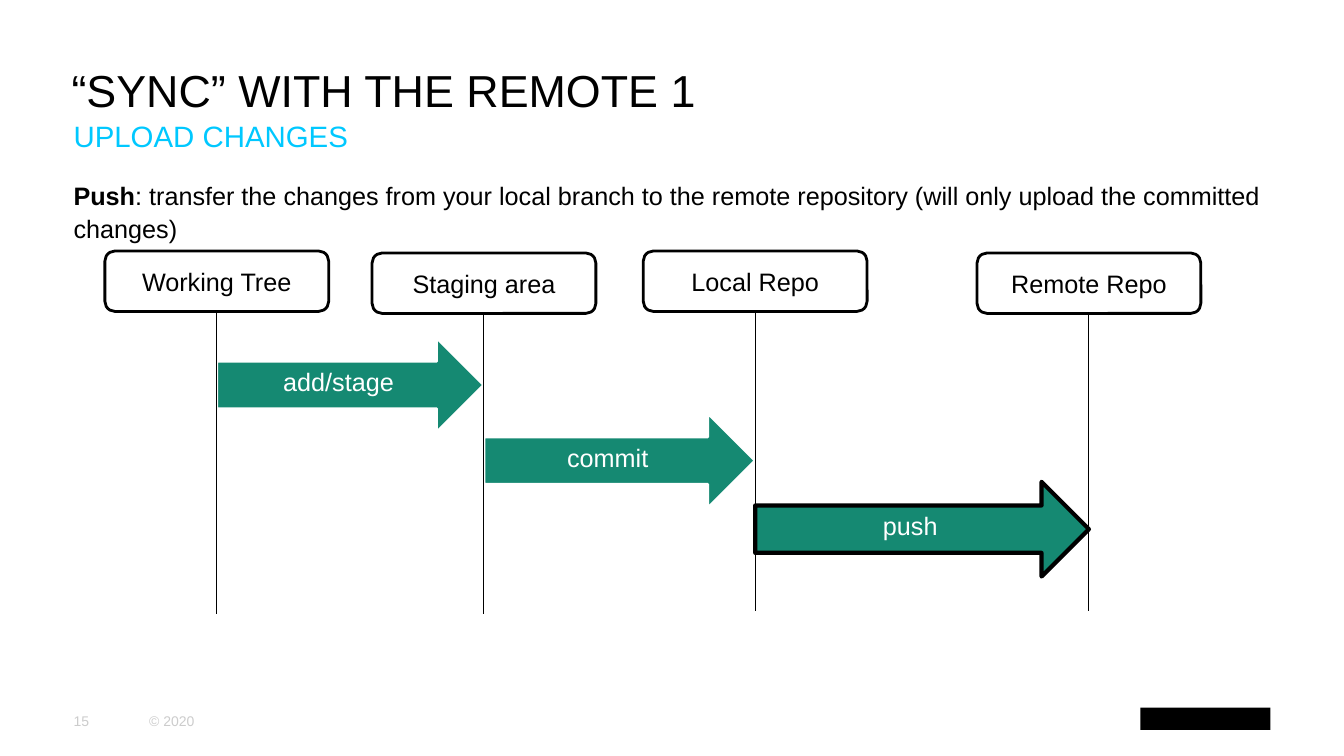
from lxml import etree
from pptx import Presentation, util as u
from pptx.dml.color import RGBColor
from pptx.enum import shapes, text
from pptx.oxml.ns import qn

PX = u.Inches(1) // 100  # 100 px to the inch
COLORS = {"ink": "000000", "paper": "FFFFFF", "sky": "00C8FF",
          "green": "158972", "grey": "CCCCCC"}

BOX_W, BOX_H, ARROW_H = 222, 60, 94
# name, lane centre x, box top, lane bottom
LANES = [
    ("Working Tree", 215, 249, 609),
    ("Staging area", 480, 251, 609),
    ("Local Repo", 749, 249, 606),
    ("Remote Repo", 1080, 251, 606),
]
# name, top, outline colour, outline points; each spans one gap between lanes
STEPS = [
    ("add/stage", 335, "paper", 2),
    ("commit", 410, "paper", 2),
    ("push", 478, "ink", 3),
]


def px(*lengths):
    return [u.Emu(length * PX) for length in lengths]


def rgb(name):
    return RGBColor.from_string(COLORS[name])


def set_all(target, values):
    for key, value in values.items():
        setattr(target, key, value)


def write(paragraph, words, size, color, bold=False):
    run = paragraph.add_run()
    run.text = words
    set_all(run.font, {"name": "Arial", "size": u.Pt(size), "bold": bold})
    run.font.color.rgb = rgb(color)


def add_text(slide, place, runs, size, color, anchor="TOP", spacing=1.0):
    """Add a text box without margins; runs are (words, bold) pairs."""
    frame = slide.shapes.add_textbox(*px(*place)).text_frame
    set_all(frame, {"word_wrap": True,
                    "vertical_anchor": getattr(text.MSO_ANCHOR, anchor),
                    "margin_left": 0, "margin_right": 0,
                    "margin_top": 0, "margin_bottom": 0})
    paragraph = frame.paragraphs[0]
    paragraph.line_spacing = spacing
    for words, bold in runs:
        write(paragraph, words, size, color, bold)


def add_block(slide, kind, place, fill, outline=None, weight=0):
    block = slide.shapes.add_shape(kind, *px(*place))
    block.shadow.inherit = False
    block.fill.solid()
    block.fill.fore_color.rgb = rgb(fill)
    if outline:
        block.line.color.rgb = rgb(outline)
        block.line.width = u.Pt(weight)
    else:
        block.line.fill.background()
    return block


def label(block, words, color, anchor):
    frame = block.text_frame
    set_all(frame, {"word_wrap": True, "vertical_anchor": anchor})
    frame.paragraphs[0].alignment = text.PP_ALIGN.CENTER
    write(frame.paragraphs[0], words, 18, color)


def add_step(slide, name, start, end, top, outline, weight):
    arrow = add_block(slide, shapes.MSO_SHAPE.RIGHT_ARROW,
                      (start, top, end - start, ARROW_H),
                      "green", outline, weight)
    label(arrow, name, "paper", text.MSO_ANCHOR.TOP)


def add_stage(slide, name, center, top):
    box = add_block(slide, shapes.MSO_SHAPE.ROUNDED_RECTANGLE,
                    (center - BOX_W // 2, top, BOX_W, BOX_H),
                    "paper", "ink", 2)
    label(box, name, "ink", text.MSO_ANCHOR.MIDDLE)


def add_lifeline(slide, x, top, bottom):
    lifeline = slide.shapes.add_connector(
        shapes.MSO_CONNECTOR.STRAIGHT, *px(x, top, x, bottom))
    lifeline.line.color.rgb = rgb("ink")
    lifeline.line.width = u.Pt(0.75)
    etree.SubElement(lifeline._element.spPr, qn("a:effectLst"))


def main():
    deck = Presentation()
    deck.slide_width, deck.slide_height = px(1333, 750)
    slide = deck.slides.add_slide(deck.slide_layouts[6])

    add_text(slide, (148, 695, 108, 40), [("© 2020", False)], 10, "grey", "MIDDLE")
    add_block(slide, shapes.MSO_SHAPE.RECTANGLE, (1131, 702, 129, 22), "ink")
    add_text(slide, (73, 695, 74, 40), [("15", False)], 10, "grey", "MIDDLE")
    add_text(slide, (73, 115, 1187, 44), [("UPLOAD CHANGES", False)], 21, "sky",
             spacing=1.07)
    add_text(slide, (71, 1, 1190, 115), [("“SYNC” WITH THE REMOTE 1", False)],
             32, "ink", "BOTTOM")
    add_text(slide, (73, 177, 1187, 500),
             [("Push", True),
              (": transfer the changes from your local branch to the remote "
               "repository (will only upload the committed changes)", False)],
             18, "ink", spacing=1.07)

    for (name, *style), source, target in zip(STEPS, LANES, LANES[1:]):
        add_step(slide, name, source[1], target[1], *style)
    for name, center, top, _ in LANES:
        add_stage(slide, name, center, top)
    for _, center, top, bottom in LANES:
        add_lifeline(slide, center, top + BOX_H, bottom)

    deck.save("out.pptx")


if __name__ == "__main__":
    main()
